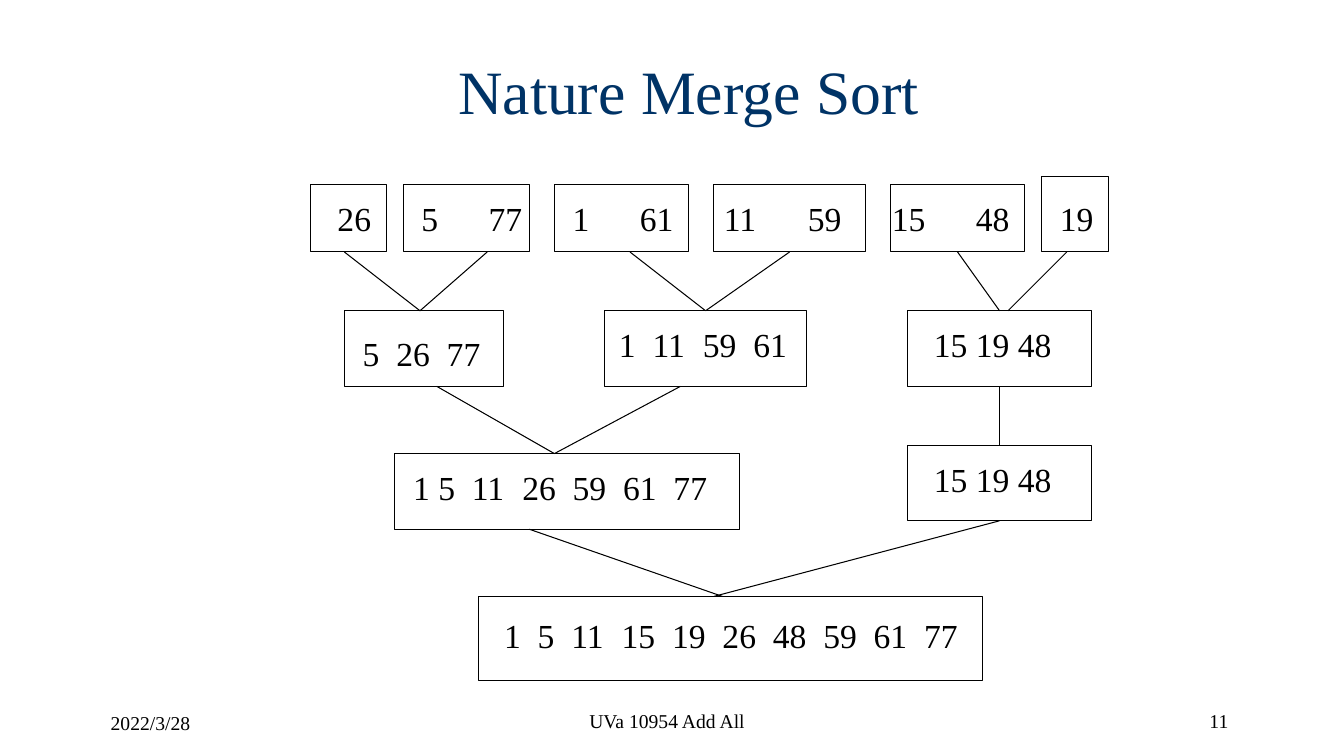
from lxml.etree import SubElement
from pptx import Presentation
from pptx.dml.color import RGBColor
from pptx.enum.shapes import MSO_CONNECTOR, MSO_SHAPE
from pptx.enum.text import MSO_ANCHOR, PP_ALIGN
from pptx.oxml.ns import qn
from pptx.util import Pt

BLACK, NAVY = "000000", "003366"
FONT = "Times New Roman"
DIGIT, INSET = 12, 7.2

LABELS = [
    ("UVa 10954 Add All", (324.5, 502.5, 304, 36), 14, BLACK, PP_ALIGN.CENTER, MSO_ANCHOR.TOP),
    ("11", (684.5, 502.5, 200, 36), 14, BLACK, PP_ALIGN.RIGHT, MSO_ANCHOR.TOP),
    ("2022/3/28", (72, 504, 200, 36), 14, BLACK, PP_ALIGN.LEFT, MSO_ANCHOR.TOP),
    ("Nature Merge Sort", (186, 19.5, 612, 90), 44, NAVY, PP_ALIGN.CENTER, MSO_ANCHOR.MIDDLE),
]

RUNS = [
    (["26", "5", "77", "1", "61", "11", "59", "15", "48", "19"], 36, 234, 138),
    (["5", "26", "77"], 12, 252, 234),
    (["1", "11", "59", "61"], 12, 435, 228),
    (["15 19 48"], 0, 660, 228),
    (["1 5", "11", "26", "59", "61", "77"], 12, 288, 330),
    (["15 19 48"], 0, 660, 324),
    (["1", "5", "11", "15", "19", "26", "48", "59", "61", "77"], 12, 353, 436),
]

FRAMES = [
    (222, 132, 54, 48), (288, 132, 90, 48), (396, 132, 96, 48),
    (510, 132, 108, 48), (636, 132, 96, 48), (744, 126, 48, 54),
    (246, 222, 114, 54), (432, 222, 144, 54), (648, 222, 132, 54),
    (282, 324, 246, 54), (648, 318, 132, 54), (342, 426, 360, 60),
]

MERGES = [
    (246, 180, 300, 222), (300, 222, 348, 180),
    (450, 180, 504, 222), (504, 222, 564, 180),
    (684, 180, 714, 222), (720, 222, 762, 180),
    (312, 276, 396, 324), (396, 324, 486, 276),
    (714, 276, 714, 318),
    (378, 378, 516, 426), (510, 426, 714, 372),
]


def color(value):
    return RGBColor.from_string(value)


def points(values):
    return [Pt(value) for value in values]


def apply(target, formats):
    for name, value in formats.items():
        setattr(target, name, value)


def text_width(text):
    return sum(DIGIT / 2 if char == " " else DIGIT for char in text)


def add_text(page, text, place, size, ink, align, anchor):
    box = page.shapes.add_textbox(*points(place))
    apply(box.text_frame, {"word_wrap": True, "vertical_anchor": anchor})
    para = box.text_frame.paragraphs[0]
    para.alignment = align
    span = para.add_run()
    span.text = text
    apply(span.font, {"name": FONT, "size": Pt(size)})
    span.font.color.rgb = color(ink)
    return box


def add_run_of_numbers(page, numbers, gap, left, top):
    stops, reach = [], 0
    for number in numbers:
        stops.append(reach)
        reach += text_width(number) + gap
    width = reach - gap + 2 * INSET
    box = add_text(page, "\t".join(numbers), (left, top, width, 36), 24,
                   BLACK, PP_ALIGN.LEFT, MSO_ANCHOR.TOP)
    box.text_frame.margin_right = 0
    properties = box.text_frame.paragraphs[0]._p.get_or_add_pPr()
    if len(stops) > 1:
        tabs = SubElement(properties, qn("a:tabLst"))
        for stop in stops[1:]:
            SubElement(tabs, qn("a:tab"), pos=str(Pt(stop)), algn="l")


def draw_line(line):
    line.color.rgb = color(BLACK)
    line.width = Pt(0.75)


def add_frame(page, place):
    frame = page.shapes.add_shape(MSO_SHAPE.RECTANGLE, *points(place))
    frame.shadow.inherit = False
    frame.fill.background()
    draw_line(frame.line)


def add_merge(page, ends):
    merge = page.shapes.add_connector(MSO_CONNECTOR.STRAIGHT, *points(ends))
    draw_line(merge.line)
    SubElement(merge._element.spPr, qn("a:effectLst"))


def main():
    deck = Presentation()
    apply(deck, {"slide_width": Pt(960), "slide_height": Pt(540)})
    page = deck.slides.add_slide(deck.slide_layouts[6])
    for label in LABELS:
        add_text(page, *label)
    for run in RUNS:
        add_run_of_numbers(page, *run)
    for frame in FRAMES:
        add_frame(page, frame)
    for merge in MERGES:
        add_merge(page, merge)
    deck.save("out.pptx")


if __name__ == "__main__":
    main()
